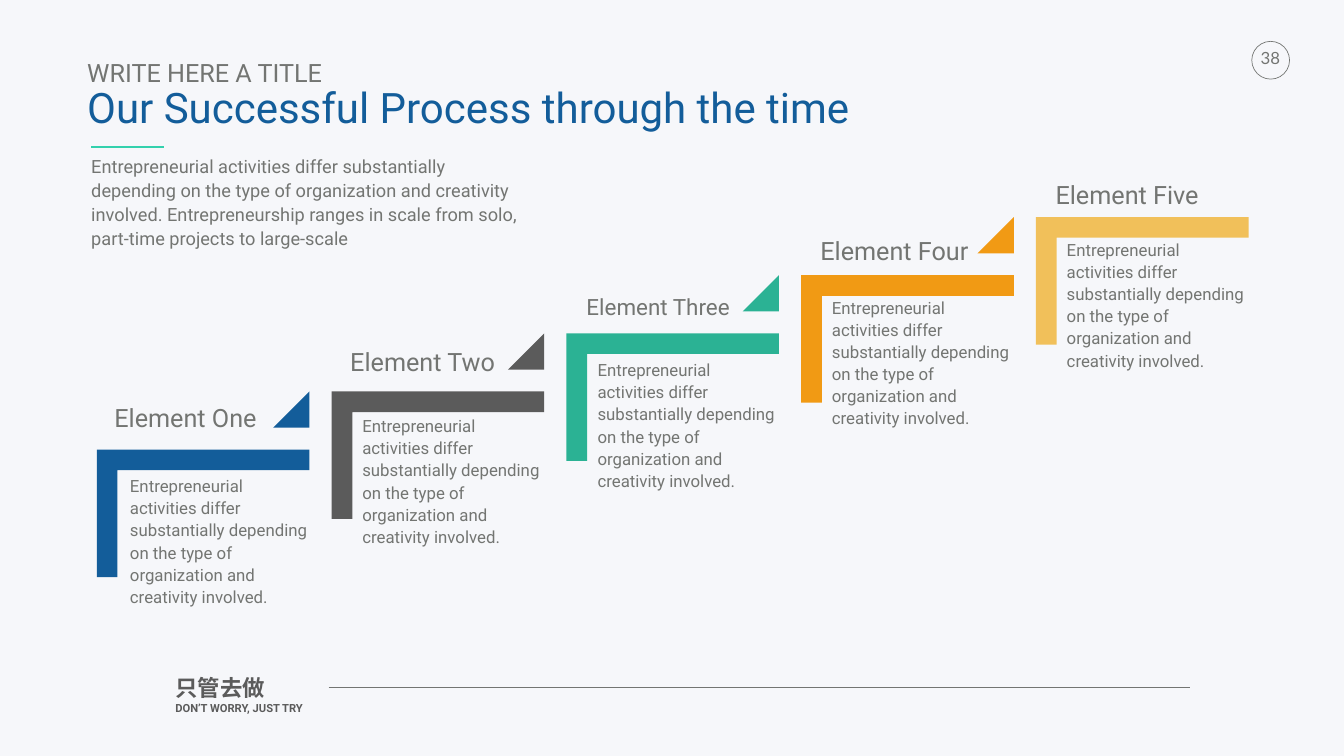
"""Build a slide with a five-step rising process, placed in percent of the slide's size."""
from dataclasses import dataclass

import pptx
import pptx.dml.color
import pptx.enum.shapes
import pptx.enum.text
import pptx.oxml.ns
import pptx.util
from lxml import etree

WIDTH, HEIGHT = pptx.util.Inches(26.67), pptx.util.Inches(15)
COLORS = {
    "paper": "F6F7FA", "text": "737572", "dark": "5B5B5B", "blue": "135D9A",
    "green": "2BB294", "orange": "F19A14", "yellow": "F1C05A", "mint": "33D1AD",
}
FIRST_LEFT, FIRST_TOP = 7.2, 59.47
PITCH_X, PITCH_Y = 17.47, 7.69
ARM_W, ARM_H = 15.82, 16.87
BAR_W, BAR_H = 1.54, 2.73
WEDGE_W, WEDGE_H = 2.7, 4.8
INTRO = (
    "Entrepreneurial activities differ substantially depending on the type of organization "
    "and creativity involved. Entrepreneurship ranges in scale from solo, part-time projects "
    "to large-scale"
)
DETAIL = (
    "Entrepreneurial activities differ substantially depending on the type of organization "
    "and creativity involved."
)
ALIGN = pptx.enum.text.PP_ALIGN
Point = tuple[float, float]
Box = tuple[float, float, float, float]


@dataclass(frozen=True)
class Line:
    """One paragraph and its format."""

    text: str
    size: float
    color: str = "text"
    font: str = "Roboto"
    bold: bool = False
    align: ALIGN = ALIGN.LEFT
    spacing: float = 1.0


@dataclass(frozen=True)
class Step:
    """One step; title and detail positions are offsets from its corner."""

    title: str
    color: str
    title_at: Point
    title_w: float
    detail_at: Point
    size: float = 36


STEPS = (
    Step("Element One", "blue", (1.12, -6.6), 11.36, (2.47, 3.26)),
    Step("Element Two", "dark", (1.2, -6.25), 11.25, (2.29, 3.02)),
    Step("Element Three", "green", (1.31, -5.62), 11.32, (2.32, 3.31), 32),
    Step("Element Four", "orange", (1.24, -5.6), 11.7, (2.29, 2.73)),
    Step("Element Five", "yellow", (1.27, -5.31), 11.36, (2.29, 2.76)),
)


def x(share: float) -> int:
    """Turn a percentage of the slide's width into EMU."""
    return round(WIDTH * share / 100)


def y(share: float) -> int:
    """Turn a percentage of the slide's height into EMU."""
    return round(HEIGHT * share / 100)


def rgb(name: str) -> pptx.dml.color.RGBColor:
    """Look up a named colour."""
    return pptx.dml.color.RGBColor.from_string(COLORS[name])


def add_text(s, box: Box, *lines: Line, inset: float = 0.05, wrap: bool = True,
             middle: bool = False) -> None:
    """Add a text box with one paragraph per line."""
    left, top, width, height = box
    tf = s.shapes.add_textbox(x(left), y(top), x(width), y(height)).text_frame
    tf.word_wrap = wrap
    tf.auto_size = pptx.enum.text.MSO_AUTO_SIZE.SHAPE_TO_FIT_TEXT
    anchor = pptx.enum.text.MSO_ANCHOR
    tf.vertical_anchor = anchor.MIDDLE if middle else anchor.TOP
    tf.margin_left = tf.margin_right = pptx.util.Inches(inset)
    tf.margin_top = tf.margin_bottom = pptx.util.Inches(inset)
    for i, line in enumerate(lines):
        p = tf.add_paragraph() if i else tf.paragraphs[0]
        p.alignment, p.line_spacing = line.align, line.spacing
        r = p.add_run()
        r.text = line.text
        r.font.name, r.font.size = line.font, pptx.util.Pt(line.size)
        r.font.bold, r.font.color.rgb = line.bold, rgb(line.color)


def add_rule(s, start: Point, end: Point, color: str, weight: float) -> None:
    """Add a straight line."""
    kind = pptx.enum.shapes.MSO_CONNECTOR.STRAIGHT
    sp = s.shapes.add_connector(kind, x(start[0]), y(start[1]), x(end[0]), y(end[1]))
    sp.line.color.rgb, sp.line.width = rgb(color), pptx.util.Pt(weight)
    etree.SubElement(sp.element.spPr, pptx.oxml.ns.qn("a:effectLst"))


def add_outline(s, points: list[Point], color: str) -> None:
    """Add a filled polygon."""
    first, *rest = [(x(px), y(py)) for px, py in points]
    builder = s.shapes.build_freeform(*first)
    builder.add_line_segments(rest, close=True)
    sp = builder.convert_to_shape()
    sp.shadow.inherit = False
    sp.fill.solid()
    sp.fill.fore_color.rgb = rgb(color)
    sp.line.fill.background()


def add_step(s, index: int, step: Step) -> None:
    """Add a bracket, its title and detail, and a wedge up to the next step."""
    left, top = FIRST_LEFT + index * PITCH_X, FIRST_TOP - index * PITCH_Y
    right, bottom = left + ARM_W, top + ARM_H
    add_outline(s, [(left, top), (right, top), (right, top + BAR_H),
                    (left + BAR_W, top + BAR_H), (left + BAR_W, bottom), (left, bottom)],
                step.color)
    if index < len(STEPS) - 1:
        tip = top - PITCH_Y
        add_outline(s, [(right - WEDGE_W, tip + WEDGE_H), (right, tip), (right, tip + WEDGE_H)],
                    step.color)
    (tx, ty), (dx, dy) = step.title_at, step.detail_at
    add_text(s, (left + dx, top + dy, 13.54, 17.47), Line(DETAIL, 24, spacing=1.1),
             inset=0, middle=True)
    add_text(s, (left + tx, top + ty, step.title_w, 4.67), Line(step.title, step.size),
             wrap=False)


def add_page_number(s) -> None:
    """Add the ringed page number."""
    oval = pptx.enum.shapes.MSO_SHAPE.OVAL
    sp = s.shapes.add_shape(oval, x(93.14), y(5.47), x(2.81), y(5))
    sp.shadow.inherit = False
    sp.fill.background()
    sp.line.color.rgb, sp.line.width = rgb("text"), pptx.util.Pt(1)
    add_text(s, (92.94, 6, 3.17, 4), Line("38", 24, font="Lato", align=ALIGN.CENTER),
             wrap=False)


def main() -> None:
    """Build and save the slide."""
    prs = pptx.Presentation()
    prs.slide_width, prs.slide_height = WIDTH, HEIGHT
    s = prs.slides.add_slide(prs.slide_layouts[6])
    s.background.fill.solid()
    s.background.fill.fore_color.rgb = rgb("paper")
    add_page_number(s)
    add_text(s, (12.86, 88.87, 14.96, 6.6), Line("只管去做", 32, "dark", bold=True),
             Line("DON’T WORRY, JUST TRY", 16, "dark", bold=True))
    add_rule(s, (24.45, 90.93), (88.56, 90.93), "text", 0.25)
    add_text(s, (6.3, 7.67, 57.22, 10.93), Line("WRITE HERE A TITLE", 36, spacing=0.9),
             Line("Our Successful Process through the time", 60, "blue",
                  align=ALIGN.CENTER, spacing=0.9), wrap=False)
    add_text(s, (6.79, 20.4, 31.91, 12.33), Line(INTRO, 26, spacing=1.1), inset=0, middle=True)
    add_rule(s, (12.19, 19.47), (6.79, 19.47), "mint", 3)
    for index, step in enumerate(STEPS):
        add_step(s, index, step)
    prs.save("out.pptx")


if __name__ == "__main__":
    main()
